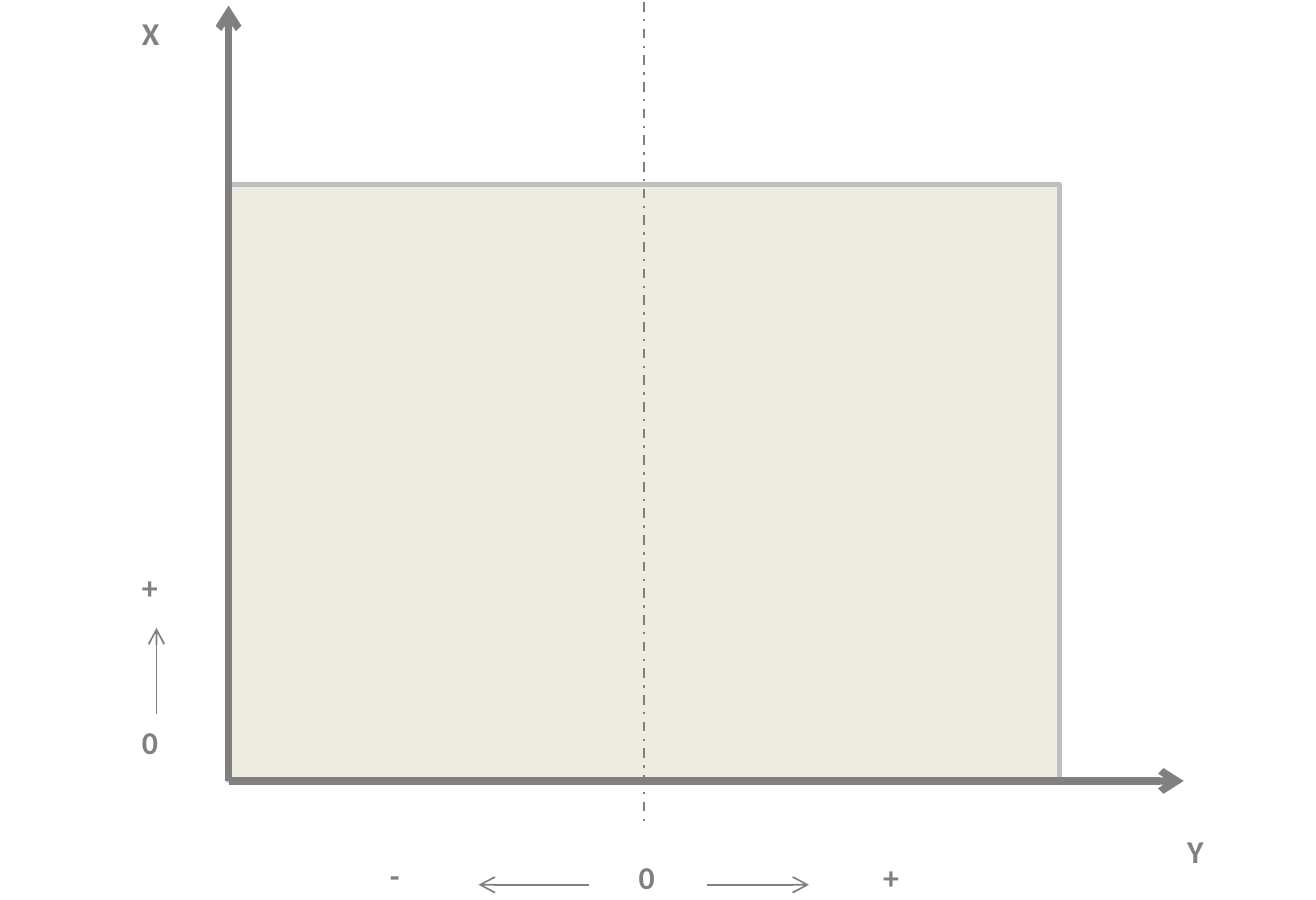
"""Draw a plane with an X axis, a Y axis and its centre line."""
import pptx
import pptx.util
import pptx.dml.color
import pptx.enum.dml
import pptx.enum.shapes
import pptx.enum.text
import pptx.oxml.ns
import lxml.etree

Cm = pptx.util.Cm
Pt = pptx.util.Pt


def paint(fill, code):
    fill.solid()
    fill.fore_color.rgb = pptx.dml.color.RGBColor.from_string(code)


def write(frame, text, font="Calibri", size=13, color="808080", bold=True):
    run = frame.paragraphs[0].add_run()
    run.text = text
    run.font.name = font
    run.font.size = Pt(size)
    run.font.bold = bold
    paint(run.font.fill, color)


class Sketch:
    ink = "808080"
    edge = "BFBFBF"
    sand = "EEECE1"

    def __init__(self, slide):
        self.slide = slide

    def plane(self, left, top, width, height):
        kind = pptx.enum.shapes.MSO_SHAPE.RECTANGLE
        box = self.slide.shapes.add_shape(
            kind, Cm(left), Cm(top), Cm(width), Cm(height))
        box.shadow.inherit = False
        paint(box.fill, self.sand)
        paint(box.line.fill, self.edge)
        box.line.width = Pt(2)

    def line(self, start, end, width=0.75, arrow=True, dash=None):
        kind = pptx.enum.shapes.MSO_CONNECTOR.STRAIGHT
        points = [Cm(value) for value in start + end]
        line = self.slide.shapes.add_connector(kind, *points)
        paint(line.line.fill, self.ink)
        line.line.width = Pt(width)
        if dash:
            line.line.dash_style = dash
        qn = pptx.oxml.ns.qn
        props = line._element.spPr
        if arrow:
            stroke = props.find(qn("a:ln"))
            lxml.etree.SubElement(stroke, qn("a:tailEnd"), type="arrow")
        lxml.etree.SubElement(props, qn("a:effectLst"))

    def label(self, text, left, top, width=1.19):
        box = self.slide.shapes.add_textbox(
            Cm(left), Cm(top), Cm(width), Cm(1.02))
        box.text_frame.word_wrap = True
        box.text_frame.auto_size = pptx.enum.text.MSO_AUTO_SIZE.SHAPE_TO_FIT_TEXT
        write(box.text_frame, text)


def main():
    deck = pptx.Presentation()
    deck.slide_width, deck.slide_height = Cm(19), Cm(13)
    sketch = Sketch(deck.slides.add_slide(deck.slide_layouts[6]))

    left, base = 3.3, 11.28
    width, height = 12, 8.61
    centre = left + width / 2
    sketch.plane(left, base - height, width, height)
    for tip in ((left, 0.08), (17.09, base)):
        sketch.line((left, base), tip, width=3)
    sketch.line((centre, -0.74), (centre, 11.89), width=1, arrow=False,
                dash=pptx.enum.dml.MSO_LINE.DASH_DOT)

    row = 12.78
    sketch.line((8.51, row), (6.91, row))
    sketch.line((10.21, row), (11.68, row))
    sketch.line((2.26, 10.31), (2.26, 9.07))

    for text, top in (("X", 0.08), ("+", 8.08), ("0", 10.31)):
        sketch.label(text, 1.8, top, 0.99)
    sketch.label("Y", 16.89, 11.89)
    sketch.label("-", 5.38, 12.24)
    sketch.label("0", 8.97, 12.27, 0.79)
    sketch.label("+", 12.5, 12.27)

    deck.save("out.pptx")


if __name__ == "__main__":
    main()
